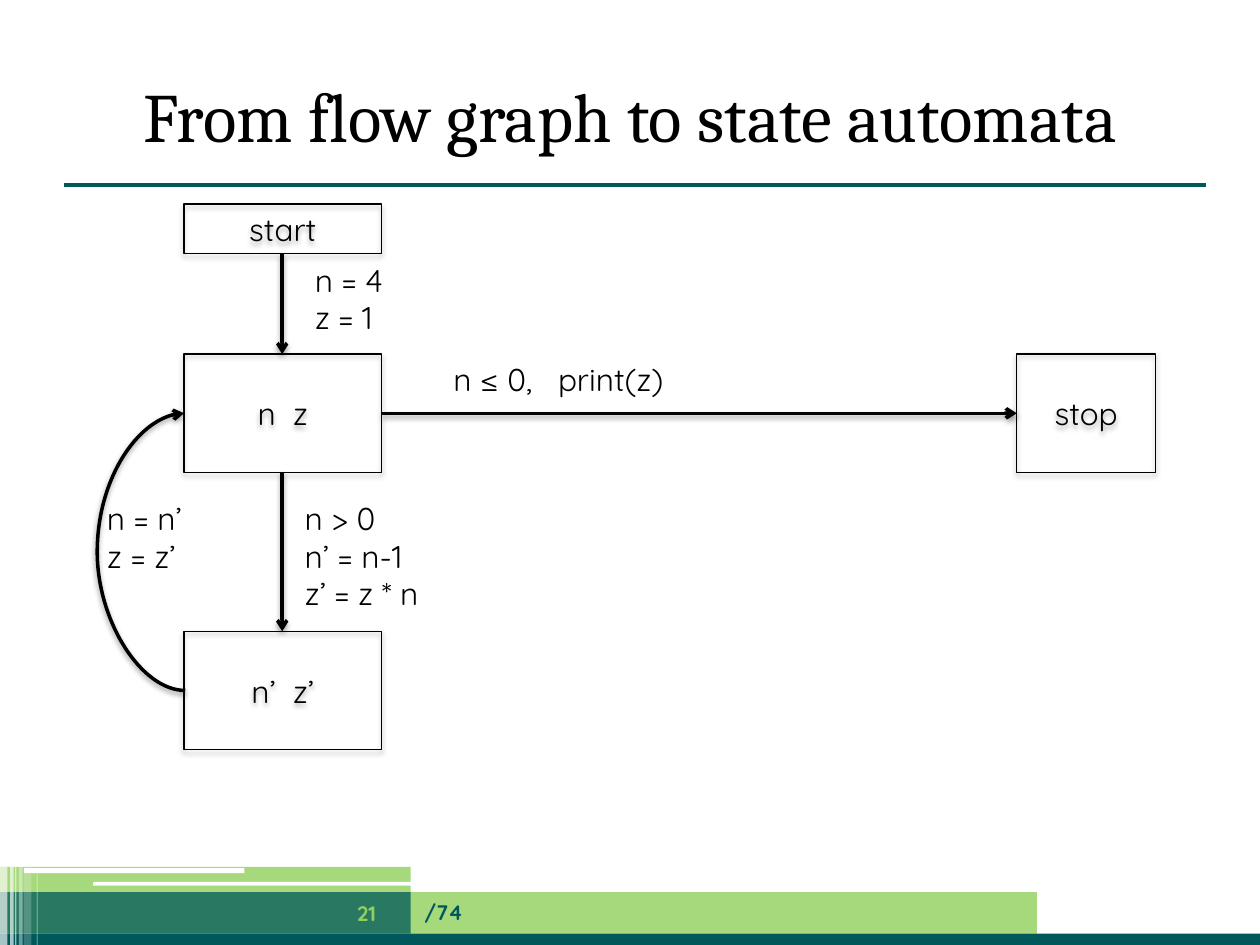
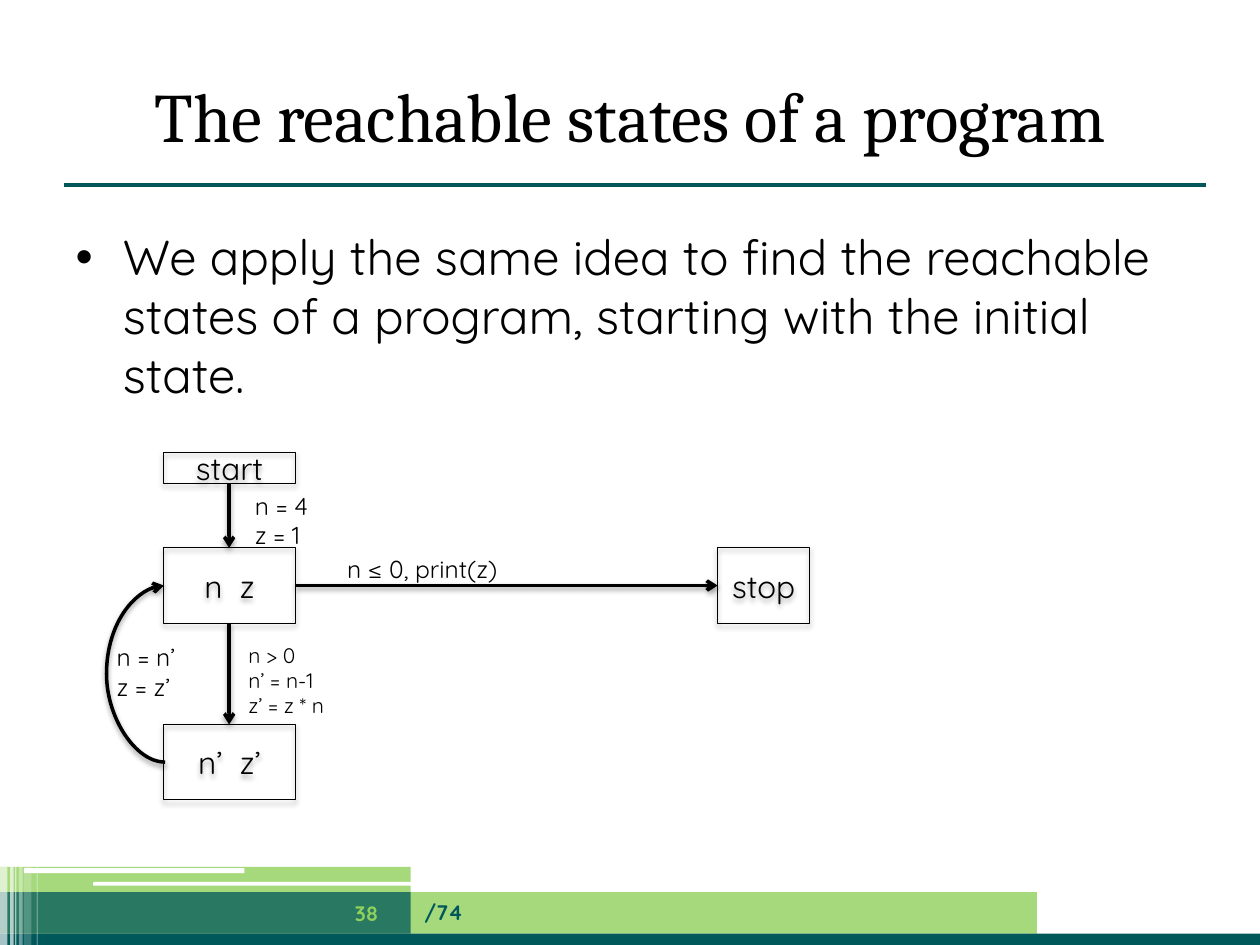
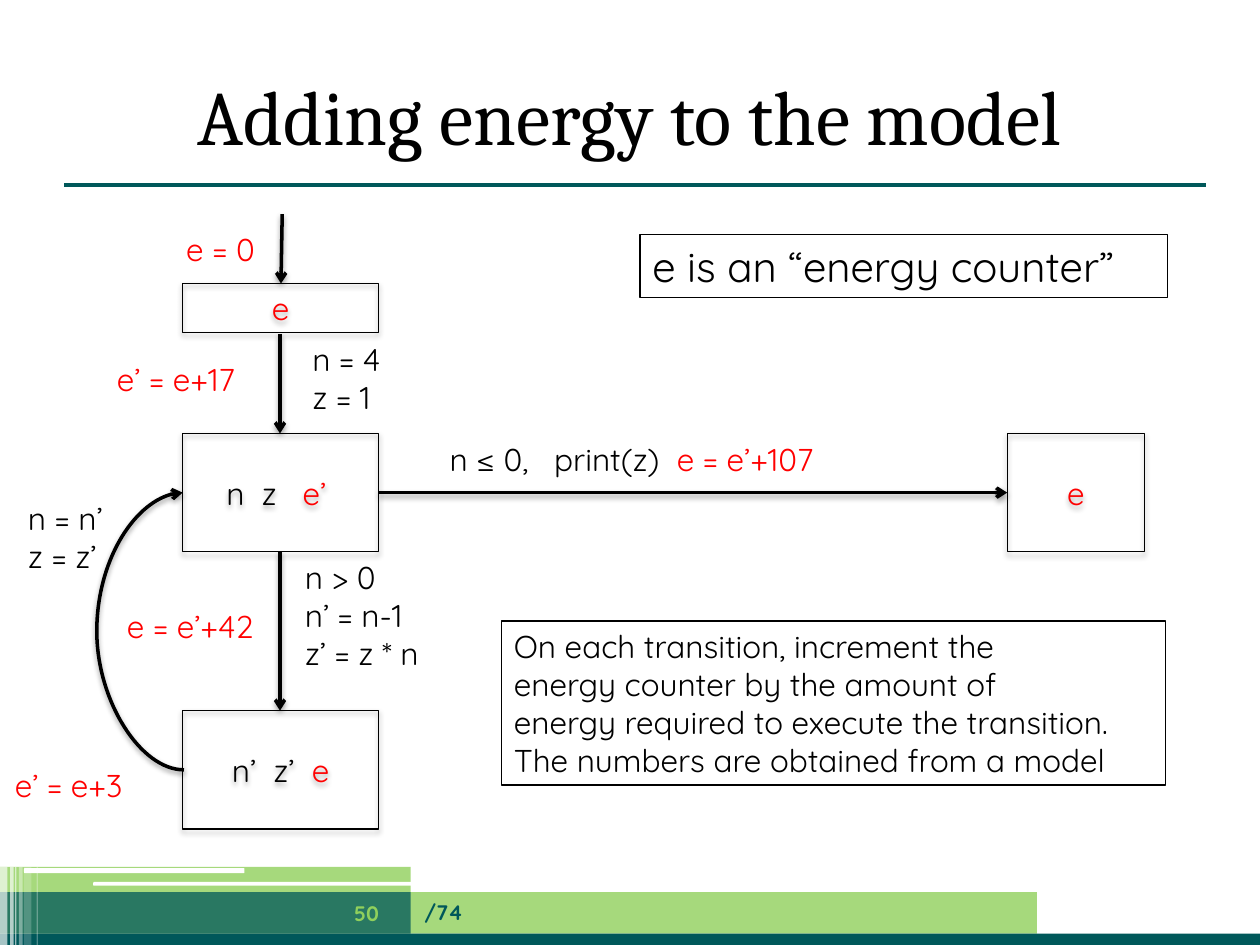
from lxml import etree
from pptx import Presentation
from pptx import util as u
from pptx.dml.color import RGBColor
from pptx.enum import shapes, text
from pptx.oxml.ns import qn

BLACK = RGBColor(0x00, 0x00, 0x00)
WHITE = RGBColor(0xFF, 0xFF, 0xFF)
RED = RGBColor(0xFF, 0x00, 0x00)
TEAL = RGBColor(0x00, 0x58, 0x5A)
GREEN = RGBColor(0x90, 0xD0, 0x5C)

TITLE_FONT = "Cambria"
BODY_FONT = "Quicksand"
RED_MARK = "|"
LINE_HEIGHT = 0.3 / 18
INSET = 0.1

RECTANGLE = shapes.MSO_SHAPE.RECTANGLE
ROUNDED = shapes.MSO_SHAPE.ROUNDED_RECTANGLE
STRAIGHT = shapes.MSO_CONNECTOR.STRAIGHT
CURVE = shapes.MSO_CONNECTOR.CURVE

FOOTER_BANDS = [
    (RECTANGLE, (0, 7.08, 8.23, 0.33), GREEN, 80),
    (RECTANGLE, (0, 7.41, 10, 0.09), TEAL, 100),
    (RECTANGLE, (0, 7.08, 3.26, 0.33), TEAL, 75),
    (RECTANGLE, (0, 6.88, 3.26, 0.2), GREEN, 80),
    (ROUNDED, (0.74, 7, 3.35, 0.03), WHITE, 100),
    (ROUNDED, (0.19, 6.89, 1.75, 0.04), WHITE, 100),
]
FOOTER_STRIPES = [
    (0, 0.06, 65),
    (0.08, 0.03, 65),
    (0.12, 0.01, 60),
    (0.15, 0.03, 40),
    (0.19, 0.06, 20),
    (0.29, 0.01, 30),
]


def inches(*lengths):
    return [u.Inches(length) for length in lengths]


def apply_format(target, values):
    for name, value in values.items():
        setattr(target, name, value)


def add_run(paragraph, words, size, colour, font=BODY_FONT, bold=False):
    run = paragraph.add_run()
    run.text = words
    apply_format(run.font, {"name": font, "size": u.Pt(size), "bold": bold})
    run.font.color.rgb = colour


def write_lines(frame, lines, size, alignment=text.PP_ALIGN.LEFT):
    for index, line in enumerate(lines):
        paragraph = frame.paragraphs[0] if index == 0 else frame.add_paragraph()
        paragraph.alignment = alignment
        plain, _, energy = line.partition(RED_MARK)
        for words, colour in ((plain, BLACK), (energy, RED)):
            if words:
                add_run(paragraph, words, size, colour)


def add_shadow(effects, opacity, distance):
    shadow = etree.SubElement(
        effects, qn("a:outerShdw"), blurRad="40000", dist=str(u.Pt(distance)),
        dir="5400000", rotWithShape="0")
    colour = etree.SubElement(shadow, qn("a:srgbClr"), val=str(BLACK))
    etree.SubElement(colour, qn("a:alpha"), val=str(opacity * 1000))


def add_band(slide, kind, place, colour, opacity):
    band = slide.shapes.add_shape(kind, *inches(*place))
    band.shadow.inherit = False
    band.line.fill.background()
    band.fill.solid()
    band.fill.fore_color.rgb = colour
    if opacity < 100:
        tint = band.fill._xPr.find(".//" + qn("a:srgbClr"))
        etree.SubElement(tint, qn("a:alpha"), val=str(opacity * 1000))
    return band


def add_line(slide, kind, start, end, colour, width):
    line = slide.shapes.add_connector(kind, *inches(*start, *end))
    line.line.color.rgb = colour
    line.line.width = u.Pt(width)
    effects = etree.SubElement(line._element.spPr, qn("a:effectLst"))
    return line, effects


def add_arrow(slide, start, end, kind=STRAIGHT):
    arrow, effects = add_line(slide, kind, start, end, BLACK, 2)
    outline = arrow._element.spPr.find(qn("a:ln"))
    etree.SubElement(outline, qn("a:tailEnd"), type="arrow")
    add_shadow(effects, 38, 1.6)
    return arrow


def add_loop_arrow(slide, left, top, bottom, bulge):
    width = 0.01
    arrow = add_arrow(slide, (left, top), (left + width, bottom), CURVE)
    properties = arrow._element.spPr
    properties.find(qn("a:xfrm")).set("rot", "10800000")
    adjustments = properties.find(qn("a:prstGeom")).get_or_add_avLst()
    ratio = round(bulge / width * 100000)
    etree.SubElement(adjustments, qn("a:gd"), name="adj1", fmla=f"val {ratio}")


def add_state(slide, place, words):
    state = slide.shapes.add_shape(RECTANGLE, *inches(*place))
    state.shadow.inherit = False
    add_shadow(state._element.spPr.find(qn("a:effectLst")), 35, 1.8)
    state.fill.background()
    state.line.color.rgb = BLACK
    state.line.width = u.Pt(0.75)
    frame = state.text_frame
    apply_format(frame, {
        "word_wrap": True, "vertical_anchor": text.MSO_ANCHOR.MIDDLE,
        "margin_top": u.Inches(0.05), "margin_bottom": u.Inches(0.05)})
    write_lines(frame, [words], 18, text.PP_ALIGN.CENTER)


def add_label(slide, left, top, text_width, lines, size=18):
    width = text_width * size / 18 + 2 * INSET
    height = len(lines) * size * LINE_HEIGHT + INSET
    label = slide.shapes.add_textbox(*inches(left, top, width, height))
    label.text_frame.word_wrap = False
    write_lines(label.text_frame, lines, size)
    return label


def add_callout(slide, left, top, text_width, lines, size=18):
    callout = add_label(slide, left, top, text_width, lines, size)
    callout.text_frame.word_wrap = True
    callout.line.color.rgb = BLACK
    callout.line.width = u.Pt(0.75)


def add_footer_text(slide, place, words, colour, alignment):
    box = slide.shapes.add_textbox(*inches(*place))
    apply_format(box.text_frame, {
        "word_wrap": True, "vertical_anchor": text.MSO_ANCHOR.MIDDLE})
    paragraph = box.text_frame.paragraphs[0]
    paragraph.alignment = alignment
    add_run(paragraph, words, 12, colour, bold=True)


def decorate_master(master, slide):
    decorations = [add_band(slide, *band) for band in FOOTER_BANDS]
    for left, width, opacity in FOOTER_STRIPES:
        place = (left, 6.88, width, 0.62)
        decorations.append(add_band(slide, RECTANGLE, place, WHITE, opacity))
    rule, _ = add_line(slide, STRAIGHT, (0.51, 1.47), (9.57, 1.47), TEAL, 2.25)
    decorations.append(rule)
    tree = master.shapes._spTree
    for index, shape in enumerate(decorations):
        element = shape._element
        next(element.iter(qn("p:cNvPr"))).set("id", str(100 + index))
        tree.insert(2 + index, element)


def add_slide(presentation, layout, title, number, title_size=39.6):
    slide = presentation.slides.add_slide(presentation.slide_layouts[layout])
    heading = slide.shapes.title
    apply_format(heading, dict(zip(
        ("left", "top", "width", "height"), inches(0.5, 0.44, 9, 0.94))))
    heading.text_frame.vertical_anchor = text.MSO_ANCHOR.MIDDLE
    paragraph = heading.text_frame.paragraphs[0]
    paragraph.alignment = text.PP_ALIGN.CENTER
    add_run(paragraph, title, title_size, BLACK, TITLE_FONT)
    add_footer_text(slide, (3.27, 7.04, 4.96, 0.4), "/74", TEAL, text.PP_ALIGN.LEFT)
    add_footer_text(slide, (2.56, 7.05, 0.7, 0.4), str(number), GREEN,
                    text.PP_ALIGN.CENTER)
    return slide


def fill_body(slide, words):
    body = slide.placeholders[1]
    apply_format(body, dict(zip(
        ("left", "top", "width", "height"), inches(0.5, 1.75, 9, 4.95))))
    add_run(body.text_frame.paragraphs[0], words, 28, BLACK)


def draw_flow_graph(slide, left, top, scale=(1, 1),
                    states=("start", "n  z", "n’  z’", "stop"),
                    exit_label=("n ≤ 0,   print(z)", 1.69),
                    sizes=(18, 18, 18, 18),
                    body_label_at=(0.86, 2.29), loop_label_at=(-0.71, 2.29)):
    def at(across, down):
        return left + across * scale[0], top + down * scale[1]

    def extent(width, height):
        return width * scale[0], height * scale[1]

    start, head, update, stop = states
    node = extent(1.57, 0.94)
    add_state(slide, (*at(0, 1.19), *node), head)
    add_state(slide, (*at(0, 3.39), *node), update)
    add_state(slide, (*at(6.61, 1.19), *extent(1.1, 0.94)), stop)
    add_state(slide, (*at(0, 0), *extent(1.57, 0.39)), start)

    add_arrow(slide, at(0.78, 0.4), at(0.78, 1.19))
    add_arrow(slide, at(0.78, 2.13), at(0.78, 3.39))
    add_arrow(slide, at(1.57, 1.66), at(6.61, 1.66))
    loop_left, loop_top = at(0, 1.66)
    _, loop_bottom = at(0, 3.86)
    add_loop_arrow(slide, loop_left, loop_top, loop_bottom, 0.71 * scale[0])

    exit_words, exit_width = exit_label
    labels = [
        ((0.94, 0.4), 0.59, ["n = 4", "z = 1"]),
        (body_label_at, 1, ["n > 0", "n’ = n-1", "z’ = z * n"]),
        (loop_label_at, 0.69, ["n = n’", "z = z’"]),
        ((2.04, 1.19), exit_width, [exit_words]),
    ]
    for (place, width, lines), size in zip(labels, sizes):
        add_label(slide, *at(*place), width, lines, size)


def main():
    presentation = Presentation()
    presentation.slide_width, presentation.slide_height = inches(10, 7.5)

    automata = add_slide(presentation, 5, "From flow graph to state automata", 21)
    decorate_master(presentation.slide_master, automata)
    draw_flow_graph(automata, 1.46, 1.62)

    reachable = add_slide(presentation, 1, "The reachable states of a program", 38)
    fill_body(reachable, "We apply the same idea to find the reachable states of "
                         "a program, starting with the initial state.")
    draw_flow_graph(reachable, 1.3, 3.59, scale=(0.665, 0.637),
                    exit_label=("n ≤ 0, print(z)", 1.54), sizes=(14, 12, 14, 14))

    energy = add_slide(presentation, 5, "Adding energy to the model", 50, 44)
    draw_flow_graph(energy, 1.45, 2.25, scale=(0.99, 1),
                    states=("|e", "n  z   |e’ ", "n’  z’  |e", "|e"),
                    exit_label=("n ≤ 0,   print(z)|  e = e’+107", 3.11),
                    body_label_at=(0.88, 2.13), loop_label_at=(-1.34, 1.66))
    add_arrow(energy, (2.24, 1.7), (2.23, 2.25))
    for left, top, width, words in (
            (1.38, 1.78, 0.6, "|e = 0"),
            (0.83, 2.81, 1.14, "|e’ = e+17"),
            (0.91, 4.77, 1.14, "|e = e’+42"),
            (0.02, 6.03, 1, "|e’ = e+3")):
        add_label(energy, left, top, width, [words])
    add_callout(energy, 5.08, 1.86, 2.99, ["e is an “energy counter”"], 24)
    add_callout(energy, 3.98, 4.93, 5.07, [
        "On each transition, increment the",
        "energy counter by the amount of",
        "energy required to execute the transition.",
        "The numbers are obtained from a model"])

    presentation.save("out.pptx")


if __name__ == "__main__":
    main()
